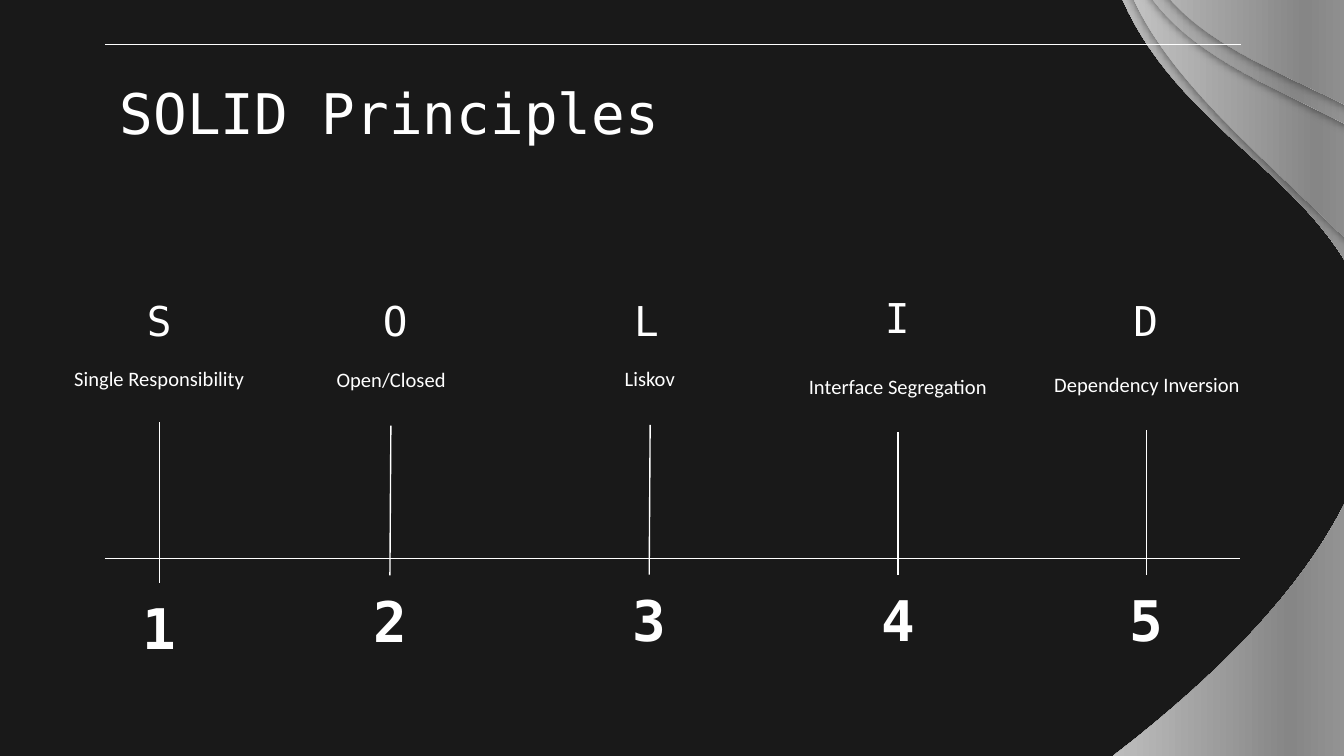
"""Build the SOLID Principles slide: silver waves and a five-step timeline."""
from pptx import Presentation
from pptx.dml.color import RGBColor
from pptx.enum.shapes import MSO_CONNECTOR
from pptx.enum.text import MSO_ANCHOR, MSO_AUTO_SIZE, PP_ALIGN
from pptx.oxml import parse_xml
from pptx.oxml.ns import nsdecls, qn
from pptx.oxml.xmlchemy import OxmlElement
from pptx.util import Pt

WHITE, DARK = "FFFFFF", "191919"
MONO, SANS = "DejaVu Sans Mono", "Calibri"
BOX_WIDTH, WAVE_RIGHT = 139, 1016.6


def write(box, text, bounds, size, font, bold=False, anchor=MSO_ANCHOR.TOP, align=PP_ALIGN.CENTER):
    box.left, box.top, box.width, box.height = [Pt(value) for value in bounds]
    frame = box.text_frame
    frame.text = text
    frame.word_wrap = True
    frame.auto_size = MSO_AUTO_SIZE.NONE
    frame.vertical_anchor = anchor
    frame.margin_left = frame.margin_right = frame.margin_top = frame.margin_bottom = Pt(7.2)
    para = frame.paragraphs[0]
    para.alignment = align
    para.font.size, para.font.name, para.font.bold = Pt(size), font, bold
    para.font.color.rgb = RGBColor.from_string(WHITE)


def draw_line(page, *ends):
    line = page.shapes.add_connector(MSO_CONNECTOR.STRAIGHT, *[Pt(value) for value in ends])
    line.line.width = Pt(0.75)
    line.line.color.rgb = RGBColor.from_string(WHITE)
    line._element.spPr.append(OxmlElement("a:effectLst"))


deck = Presentation()
deck.slide_width, deck.slide_height = Pt(720), Pt(405)
page = deck.slides.add_slide(deck.slide_layouts[5])
page.background.fill.solid()
page.background.fill.fore_color.rgb = RGBColor.from_string(DARK)

waves = [
    [(564.5, 428.4), (713.5, 323.3), (742.3, 244.8), (737.3, 190.1), (727.9, 90.7), (608.4, 74.2), (590.4, -38.2),
     (571.7, -155.5), (689, -208.1), (691.2, -342.7), (692.6, -440.6), (632.2, -525.6), (564.5, -591.1)],
    [(750.2, 428.4), (775.4, 397.4), (805, 349.9), (805.7, 291.6), (806.4, 131), (583.9, 69.1), (597.6, -56.9),
     (607, -138.2), (704.2, -143.3), (774.7, -311), (795.6, -361.4), (801.4, -395.3), (799.9, -429.1),
     (794.9, -509.8), (745.9, -567.4), (722.9, -591.1)],
    [(652.3, -591.1), (689.8, -542.2), (732.2, -470.2), (731.5, -383), (730.1, -214.6), (569.5, -137.5),
     (601.9, -31), (630, 61.2), (761.8, 46.1), (815, 153.4), (859.7, 241.9), (819.4, 352.1), (780.5, 427.7)],
    [(657.4, -591.1), (698.4, -540), (743, -467.3), (741.6, -380.2), (739.4, -215.3), (576, -139),
     (607.7, -34.6), (634.3, 51.8), (758.2, 36.7), (815, 138.2), (865.4, 227.5), (828, 344.9), (787.7, 430.6)],
]
silver = [(0, "979797"), (35, "DDDDDD"), (72, "868686"), (100, "D1D1D1")]
for wave in waves:
    outline = wave + [(WAVE_RIGHT, wave[-1][1]), (WAVE_RIGHT, wave[0][1])]
    center_x, center_y = [(min(values) + max(values)) / 2 for values in zip(*outline)]
    turned = [(Pt(center_x + center_y - y), Pt(center_y + x - center_x)) for x, y in outline]
    builder = page.shapes.build_freeform(*turned[0])
    builder.add_line_segments(turned[1:], close=True)
    shape = builder.convert_to_shape()
    shape.rotation = 270
    properties = shape._element.spPr
    segments = list(properties.iter(qn("a:lnTo")))
    for first in range(0, len(wave) - 1, 3):
        curve = OxmlElement("a:cubicBezTo")
        segments[first].addprevious(curve)
        for segment in segments[first:first + 3]:
            curve.append(segment[0])
            segment.getparent().remove(segment)
    shape.line.fill.background()
    shape.fill.gradient()
    shape.fill.gradient_angle = 90
    stops = properties.find(qn("a:gradFill")).find(qn("a:gsLst"))
    for stop in list(stops):
        stops.remove(stop)
    for position, color in silver:
        stops.append(parse_xml(f'<a:gs {nsdecls("a")} pos="{position * 1000}"><a:srgbClr val="{color}"/></a:gs>'))
    shape.shadow.inherit = False
    properties.find(qn("a:effectLst")).append(parse_xml(
        f'<a:outerShdw {nsdecls("a")} blurRad="{Pt(4.5)}" dist="{Pt(1.5)}" dir="5400000" algn="ctr" '
        f'rotWithShape="0"><a:srgbClr val="{DARK}"><a:alpha val="50000"/></a:srgbClr></a:outerShdw>'))

draw_line(page, 56.2, 23.8, 664.6, 23.8)
write(page.shapes.title, "SOLID Principles", (56.9, 35, 607, 45.4), 30, MONO, align=PP_ALIGN.LEFT)

principles = [
    ("S", "Single Responsibility", (15.8, 153), (15.8, 189), (15.8, 312.1), (85.4, 85.4, 226.1)),
    ("O", "Open/Closed", (142.3, 153), (140.1, 189.4), (139.7, 308.2), (208.9, 209.4, 228)),
    ("L", "Liskov", (276.9, 153), (278.6, 189), (278.6, 307.9), (347.8, 348.3, 227.7)),
    ("I", "Interface Segregation", (411.1, 151.5), (411.5, 193), (411.8, 307.9), (481, 481, 231.6)),
    ("D", "Dependency Inversion", (544.3, 153), (545, 192.2), (544.7, 307.9), (614.2, 614.2, 230.4)),
]
draw_line(page, 56, 299.2, 664.2, 299.2)
for number, (letter, label, letter_at, label_at, number_at, stem) in enumerate(principles, 1):
    for text, corner, height, size, font, bold, anchor in (
        (letter, letter_at, 38.9, 22, MONO, False, MSO_ANCHOR.BOTTOM),
        (label, label_at, 38.9, 11, SANS, False, MSO_ANCHOR.TOP),
        (str(number), number_at, 49, 30, MONO, True, MSO_ANCHOR.BOTTOM),
    ):
        box = page.shapes.add_textbox(0, 0, 0, 0)
        write(box, text, (*corner, BOX_WIDTH, height), size, font, bold, anchor)
    stem_bottom_x, stem_top_x, stem_top = stem
    draw_line(page, stem_bottom_x, number_at[1], stem_top_x, stem_top)

deck.save("out.pptx")
